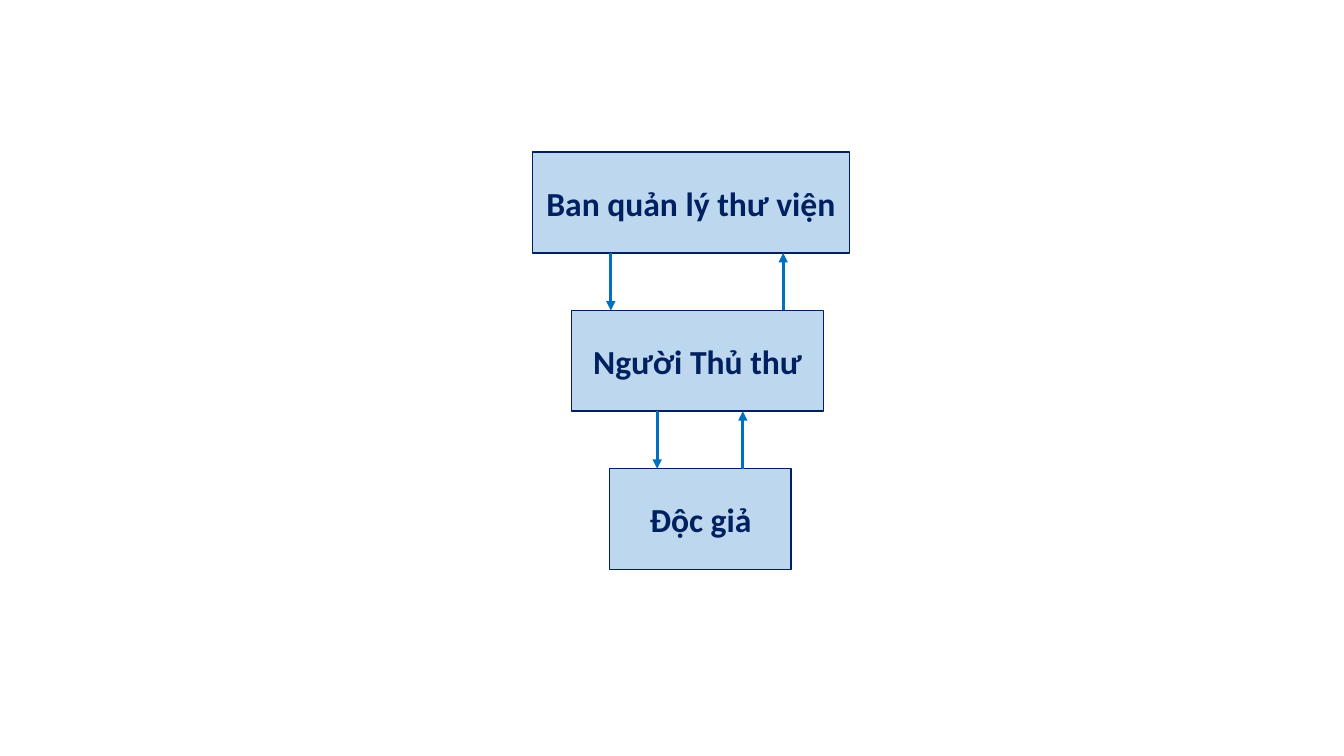
from dataclasses import dataclass

from pptx import Presentation
from pptx.dml.color import RGBColor as RGB
from pptx.enum.shapes import MSO_CONNECTOR as CONNECTOR, MSO_SHAPE as SHAPE
from pptx.enum.text import MSO_ANCHOR as ANCHOR, PP_ALIGN as ALIGN
from pptx.oxml.ns import qn
from pptx.shapes.autoshape import Shape
from pptx.slide import Slide
from pptx.util import Pt
from lxml.etree import SubElement


@dataclass(frozen=True)
class Theme:
    box_fill: RGB = RGB(0xBD, 0xD7, 0xEE)
    navy: RGB = RGB(0x00, 0x20, 0x60)
    arrow: RGB = RGB(0x00, 0x70, 0xC0)
    font: str = "Calibri"
    text_size: float = 24
    box_line: float = 1
    arrow_line: float = 2.25


@dataclass(frozen=True)
class Role:
    name: str
    left: float
    width: float


@dataclass(frozen=True)
class Exchange:
    """The x positions of the two arrows between neighbouring roles."""
    down_x: float
    up_x: float


THEME = Theme()
TOP, BOX_HEIGHT, GAP = 108.72, 72, 41.04
PITCH = BOX_HEIGHT + GAP

ROLES = [
    Role("Ban quản lý thư viện", 380.16, 226.8),
    Role("Người Thủ thư", 408.24, 180),
    Role("Độc giả", 435.6, 129.6),
]
EXCHANGES = [Exchange(436.32, 559.44), Exchange(469.44, 530.64)]


def write_text(sp: Shape, text: str, *, size: float = THEME.text_size,
               color: RGB = THEME.navy, bold: bool = True,
               align: ALIGN = ALIGN.CENTER) -> None:
    tf = sp.text_frame
    tf.word_wrap = True
    tf.vertical_anchor = ANCHOR.MIDDLE
    p = tf.paragraphs[0]
    p.alignment = align
    r = p.add_run()
    r.text = text
    r.font.name = THEME.font
    r.font.size = Pt(size)
    r.font.bold = bold
    r.font.color.rgb = color


def draw_role(s: Slide, role: Role, top: float) -> None:
    sp = s.shapes.add_shape(SHAPE.RECTANGLE, Pt(role.left), Pt(top),
                            Pt(role.width), Pt(BOX_HEIGHT))
    sp.shadow.inherit = False
    sp.fill.solid()
    sp.fill.fore_color.rgb = THEME.box_fill
    sp.line.color.rgb = THEME.navy
    sp.line.width = Pt(THEME.box_line)
    write_text(sp, role.name)


def draw_arrow(s: Slide, x: float, top: float, end: str) -> None:
    """Draw downwards across the gap; end is a:headEnd (top) or a:tailEnd (bottom)."""
    line = s.shapes.add_connector(CONNECTOR.STRAIGHT, Pt(x), Pt(top),
                                  Pt(x), Pt(top + GAP))
    line.line.color.rgb = THEME.arrow
    line.line.width = Pt(THEME.arrow_line)
    props = line._element.spPr
    SubElement(props.find(qn("a:ln")), qn(end), type="triangle")
    SubElement(props, qn("a:effectLst"))


def main() -> None:
    prs = Presentation()
    prs.slide_width, prs.slide_height = Pt(960), Pt(540)
    s = prs.slides.add_slide(prs.slide_layouts[6])
    for i, role in enumerate(ROLES):
        draw_role(s, role, TOP + i * PITCH)
    for i, exchange in enumerate(EXCHANGES):
        gap_top = TOP + i * PITCH + BOX_HEIGHT
        draw_arrow(s, exchange.down_x, gap_top, "a:tailEnd")
        draw_arrow(s, exchange.up_x, gap_top, "a:headEnd")
    prs.save("out.pptx")


if __name__ == "__main__":
    main()
